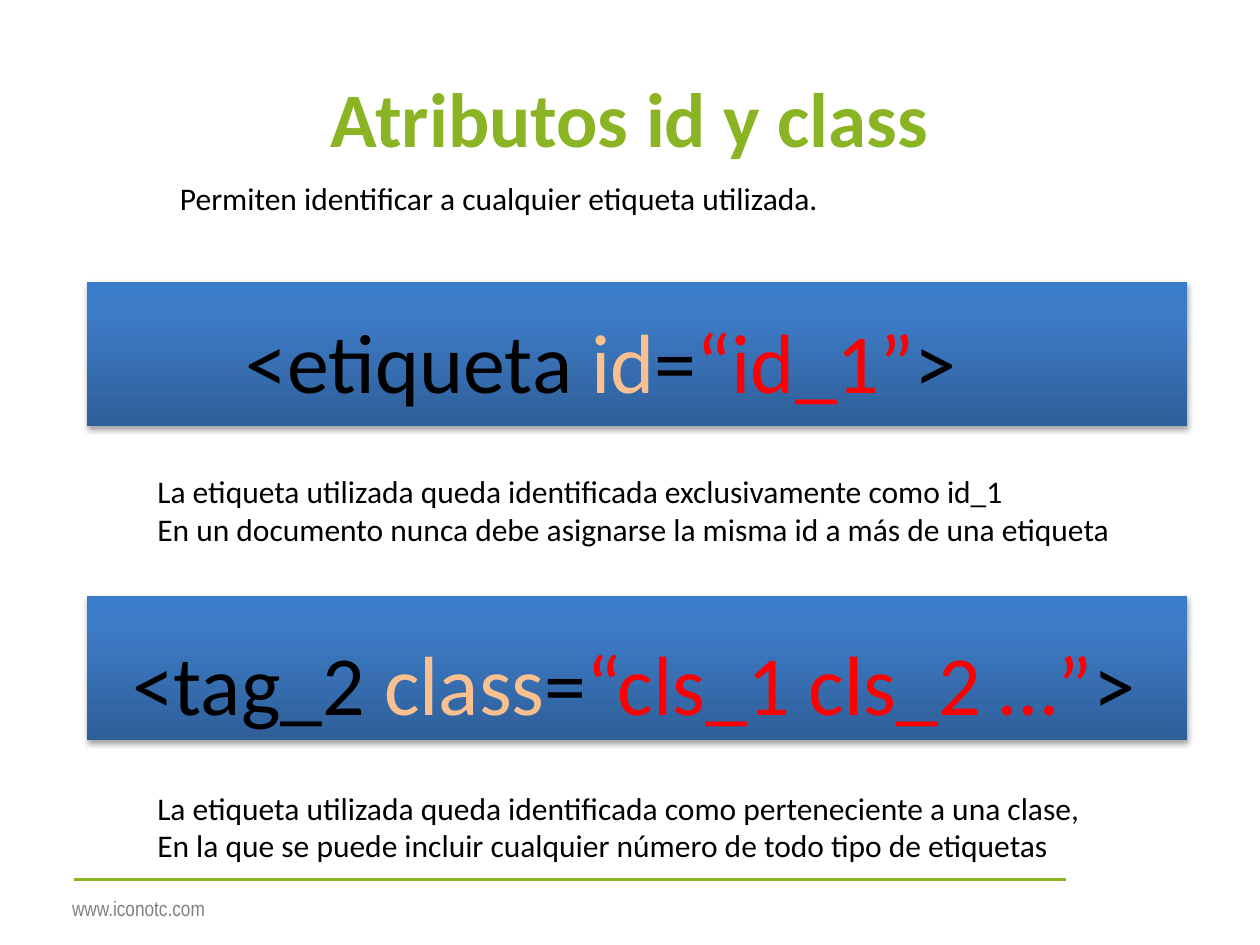
from dataclasses import dataclass

from lxml import etree
from pptx import Presentation
from pptx.dml.color import RGBColor
from pptx.enum.shapes import MSO_CONNECTOR as Conn, MSO_SHAPE as Shape
from pptx.enum.text import MSO_ANCHOR as Anchor, MSO_AUTO_SIZE as AutoSize, PP_ALIGN as Align
from pptx.oxml import parse_xml
from pptx.oxml.ns import qn
from pptx.util import Inches, Pt


@dataclass(frozen=True)
class Theme:
    green: str = "8BB425"
    grey: str = "808080"
    black: str = "000000"
    peach: str = "FAC090"
    red: str = "FF0000"
    gradient: tuple = ((0, "2F5F99"), (80, "3D7CC7"), (100, "3A7CCB"))
    font: str = "Calibri"
    footer_font: str = "Arial Narrow"
    title: int = 44
    code: int = 48
    body: int = 18
    footer: int = 12


@dataclass(frozen=True)
class Box:
    """Position and size in percent of the slide."""
    x: float
    y: float
    w: float
    h: float

    def emu(self) -> tuple:
        return across(self.x), down(self.y), across(self.w), down(self.h)


@dataclass(frozen=True)
class Example:
    banner_y: float
    code: Box
    tag: str
    attribute: str
    value: str
    note: Box
    note_text: str


T = Theme()
W, H = Inches(10), Inches(7.5)
A_NS = "http://schemas.openxmlformats.org/drawingml/2006/main"

EXAMPLES = (
    Example(29.87, Box(18.5, 32.13, 59.1, 12.13), "<etiqueta ", "id", "“id_1”",
            Box(11.5, 49.33, 79.2, 9.47),
            "La etiqueta utilizada queda identificada exclusivamente como id_1\n"
            "En un documento nunca debe asignarse la misma id a más de una etiqueta"),
    Example(63.07, Box(9.5, 66.13, 82.4, 12.13), "<tag_2 ", "class", "“cls_1 cls_2 …”",
            Box(11.5, 82.8, 75.6, 9.47),
            "La etiqueta utilizada queda identificada como perteneciente a una clase,\n"
            "En la que se puede incluir cualquier número de todo tipo de etiquetas"),
)


def across(percent: float) -> int:
    return round(W * percent / 100)


def down(percent: float) -> int:
    return round(H * percent / 100)


def style(r, size: int, color: str, font: str = T.font, bold: bool = False) -> None:
    r.font.size = Pt(size)
    r.font.name = font
    r.font.bold = bold
    r.font.color.rgb = RGBColor.from_string(color)


def add_text(s, box: Box, text: str, wrap: bool = False):
    tf = s.shapes.add_textbox(*box.emu()).text_frame
    tf.word_wrap = wrap
    tf.auto_size = AutoSize.SHAPE_TO_FIT_TEXT
    tf.text = text
    for p in tf.paragraphs:
        for r in p.runs:
            style(r, T.body, T.black)
    return tf


def add_code(s, example: Example) -> None:
    p = add_text(s, example.code, "").paragraphs[0]
    parts = ((example.tag, T.black), (example.attribute, T.peach), ("=", T.black),
             (example.value, T.red), (">", T.black))
    for text, color in parts:
        r = p.add_run()
        r.text = text
        style(r, T.code, color)


def add_banner(s, y: float) -> None:
    sp = s.shapes.add_shape(Shape.RECTANGLE, *Box(6.9, y, 87.3, 15.2).emu())
    sp.line.fill.background()
    stops = "".join(f'<a:gs pos="{at * 1000}"><a:srgbClr val="{color}"/></a:gs>'
                    for at, color in T.gradient)
    fill = parse_xml(f'<a:gradFill xmlns:a="{A_NS}" rotWithShape="1"><a:gsLst>{stops}</a:gsLst>'
                     '<a:lin ang="16200000" scaled="0"/></a:gradFill>')
    shadow = parse_xml(f'<a:effectLst xmlns:a="{A_NS}"><a:outerShdw blurRad="{Pt(3.1)}" '
                       f'dist="{Pt(1.8)}" dir="5400000" rotWithShape="0"><a:srgbClr val="{T.black}">'
                       '<a:alpha val="35000"/></a:srgbClr></a:outerShdw></a:effectLst>')
    line = sp.element.spPr.find(qn("a:ln"))
    line.addprevious(fill)
    line.addnext(shadow)


def add_footer(s) -> None:
    rule = s.shapes.add_connector(Conn.STRAIGHT, across(5.9), down(93.07), across(84.6), down(93.07))
    rule.line.width = Pt(2.25)
    rule.line.color.rgb = RGBColor.from_string(T.green)
    etree.SubElement(rule.element.spPr, qn("a:effectLst"))
    p = add_text(s, Box(4.3, 94.13, 13.4, 4), "www.iconotc.com", wrap=True).paragraphs[0]
    p.alignment = Align.CENTER
    style(p.runs[0], T.footer, T.grey, T.footer_font)


def add_title(s, text: str) -> None:
    title = s.shapes.title
    title.left, title.top, title.width, title.height = Box(5, 4, 90, 16.67).emu()
    tf = title.text_frame
    tf.text = text
    tf.vertical_anchor = Anchor.MIDDLE
    p = tf.paragraphs[0]
    p.alignment = Align.CENTER
    style(p.runs[0], T.title, T.green, bold=True)


def main() -> None:
    prs = Presentation()
    prs.slide_width, prs.slide_height = W, H
    s = prs.slides.add_slide(prs.slide_layouts[5])
    add_footer(s)
    add_title(s, "Atributos id y class")
    add_text(s, Box(13.3, 18.27, 54.5, 5.33), "Permiten identificar a cualquier etiqueta utilizada.")
    for example in EXAMPLES:
        add_banner(s, example.banner_y)
        add_code(s, example)
        add_text(s, example.note, example.note_text)
    prs.save("out.pptx")


if __name__ == "__main__":
    main()
